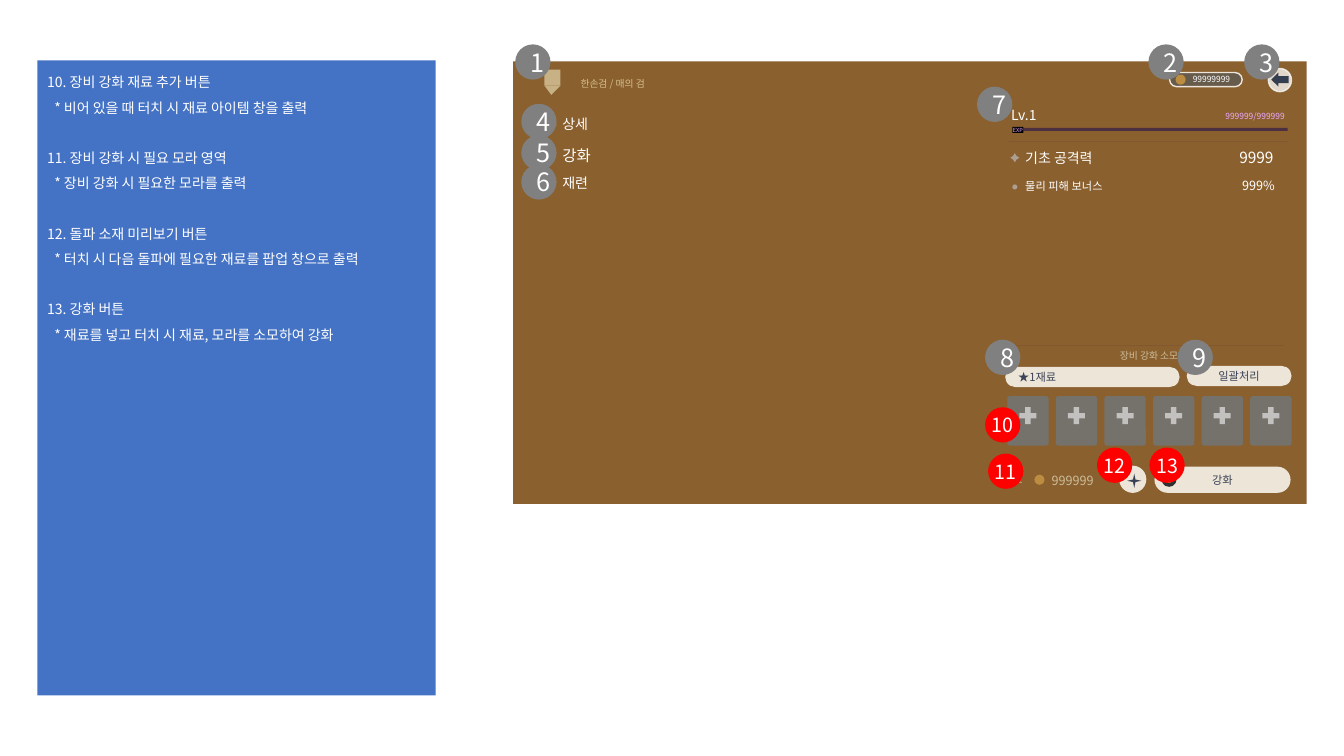
from lxml import etree
from pptx import Presentation
from pptx.dml.color import RGBColor
from pptx.enum.shapes import MSO_CONNECTOR, MSO_SHAPE
from pptx.enum.text import MSO_ANCHOR, MSO_AUTO_SIZE, PP_ALIGN
from pptx.oxml.ns import qn
from pptx.util import Inches, Pt

RECT, ROUND, OVAL = MSO_SHAPE.RECTANGLE, MSO_SHAPE.ROUNDED_RECTANGLE, MSO_SHAPE.OVAL
DIAMOND, STAR, PLUS = MSO_SHAPE.DIAMOND, MSO_SHAPE.STAR_4_POINT, MSO_SHAPE.MATH_PLUS
TRIANGLE, ARROW, DONUT = MSO_SHAPE.ISOSCELES_TRIANGLE, MSO_SHAPE.LEFT_ARROW, MSO_SHAPE.DONUT
LEFT, CENTER, RIGHT = PP_ALIGN.LEFT, PP_ALIGN.CENTER, PP_ALIGN.RIGHT
FONT = "Noto Sans CJK KR"
COLORS = {
    "white": "FFFFFF", "screen": "8A602F", "panel": "4472C4", "tan": "C7B185",
    "crumb": "D6BF8E", "diamond": "A1907C", "cream": "ECE5D8", "navy": "3B4255",
    "ink": "3C4356", "arrow": "353D51", "pink": "EEA8FF", "black": "000000",
    "exp": "4D2F42", "rule": "835830", "stat": "AC9E90", "slot": "75716B",
    "plus": "C3C1BF", "sand": "CDBD9C", "coin": "BC8D40", "dark": "313131",
    "gold": "DCB133", "wallet": "595959", "gray": "808080", "red": "FF0000",
}

# Content: description panel
NOTES = [
    ("10. 장비 강화 재료 추가 버튼", "* 비어 있을 때 터치 시 재료 아이템 창을 출력"),
    ("11. 장비 강화 시 필요 모라 영역", "* 장비 강화 시 필요한 모라를 출력"),
    ("12. 돌파 소재 미리보기 버튼", "* 터치 시 다음 돌파에 필요한 재료를 팝업 창으로 출력"),
    ("13. 강화 버튼", "* 재료를 넣고 터치 시 재료, 모라를 소모하여 강화"),
]
# Labels: text, box, size, colour, alignment, wrap
LABELS = [
    ("한손검 / 매의 검", (5.66, 0.72, 2.08, 0.22), 7, "crumb", LEFT, True),
    ("상세", (5.48, 1.1, 0.76, 0.27), 10, "white", LEFT, True),
    ("강화", (5.48, 1.4, 0.76, 0.29), 11, "white", LEFT, True),
    ("재련", (5.48, 1.68, 0.76, 0.27), 10, "white", LEFT, True),
    ("Lv.1", (9.93, 1.01, 0.61, 0.27), 10, "white", LEFT, True),
    ("999999/999999", (11.53, 1.05, 1.31, 0.2), 6, "pink", RIGHT, True),
    ("기초 공격력", (10.07, 1.43, 0.88, 0.27), 10, "white", LEFT, False),
    ("물리 피해 보너스", (10.07, 1.73, 0.97, 0.24), 8, "white", LEFT, True),
    ("9999", (12.01, 1.42, 0.72, 0.29), 11, "white", RIGHT, True),
    ("999%", (12.02, 1.72, 0.72, 0.25), 9, "white", RIGHT, True),
    ("장비 강화 소모", (11.01, 3.42, 0.79, 0.22), 7, "sand", LEFT, True),
    ("필요", (9.89, 4.66, 0.36, 0.2), 6, "sand", LEFT, True),
]
# Icons: preset, box, fill, adjustment
ICONS = [
    (RECT, (5.4, 0.69, 0.16, 0.16), "tan", None),
    (DIAMOND, (5.44, 1.2, 0.08, 0.08), "diamond", None),
    (DIAMOND, (5.44, 1.77, 0.08, 0.08), "diamond", None),
    (DIAMOND, (5.41, 1.47, 0.11, 0.11), "diamond", None),
    (OVAL, (11.1, 4.62, 0.27, 0.27), "cream", None),
    (STAR, (11.18, 4.7, 0.14, 0.14), "navy", None),
    (RECT, (10.15, 1.27, 2.62, 0.03), "exp", None),
    (STAR, (10.02, 1.52, 0.09, 0.09), "stat", 0.28),
    (OVAL, (10.04, 1.83, 0.05, 0.05), "stat", None),
    (OVAL, (10.26, 4.71, 0.1, 0.1), "coin", None),
    (OVAL, (11.52, 4.68, 0.15, 0.15), "dark", None),
    (DONUT, (11.56, 4.72, 0.07, 0.07), "gold", None),
    (ARROW, (12.61, 0.72, 0.17, 0.14), "arrow", None),
    (OVAL, (11.66, 0.74, 0.1, 0.1), "coin", None),
]
# Buttons: text, box, alignment
BUTTONS = [
    ("일괄처리", (11.77, 3.63, 1.04, 0.2), CENTER),
    ("★1재료", (9.97, 3.64, 1.73, 0.2), LEFT),
    ("강화", (11.45, 4.63, 1.35, 0.26), CENTER),
]
RULES = [(10.01, 1.4, 12.77), (9.99, 3.43, 12.74)]
SLOT_COUNT, SLOT_LEFT, SLOT_STEP = 6, 9.99, 2.41 / 5
# Numbered badges 1 to 13: left, top
BADGES = [
    (5.11, 0.44), (11.39, 0.44), (12.34, 0.44), (5.17, 1.03), (5.17, 1.34),
    (5.17, 1.63), (9.69, 0.86), (9.77, 3.37), (11.68, 3.37), (9.77, 4.04),
    (9.8, 4.5), (10.88, 4.44), (11.4, 4.44),
]
BADGE_SIZE, FIRST_RED = 0.35, 10

prs = Presentation()
prs.slide_width, prs.slide_height = Inches(13.33), Inches(7.5)
s = prs.slides.add_slide(prs.slide_layouts[6])


def rgb(name):
    return RGBColor.from_string(COLORS[name])


def set_alpha(fill_format, percent):
    for clr in fill_format._xPr.iter(qn("a:srgbClr")):
        if clr.find(qn("a:alpha")) is None:
            etree.SubElement(clr, qn("a:alpha")).set("val", str(percent * 1000))


def add_shape(kind, box, fill, adj=None):
    sp = s.shapes.add_shape(kind, *map(Inches, box))
    sp.shadow.inherit = False
    sp.fill.solid()
    sp.fill.fore_color.rgb = rgb(fill)
    sp.line.fill.background()
    if adj is not None:
        sp.adjustments[0] = adj
    return sp


def format_paragraph(p, size, color, align):
    p.alignment = align
    for r in p.runs:
        r.font.size, r.font.name = Pt(size), FONT
        r.font.color.rgb = rgb(color)
        etree.SubElement(r._r.get_or_add_rPr(), qn("a:ea")).set("typeface", FONT)


def set_text(sp, text, size, color, align, wrap=True, inset=True):
    tf = sp.text_frame
    tf.word_wrap = wrap
    if not inset:
        tf.margin_left = tf.margin_right = tf.margin_top = tf.margin_bottom = 0
    tf.text = text
    format_paragraph(tf.paragraphs[0], size, color, align)
    return tf


def add_label(text, box, size, color, align, wrap, inset=True):
    tf = set_text(s.shapes.add_textbox(*map(Inches, box)), text, size, color, align, wrap, inset)
    tf.auto_size = MSO_AUTO_SIZE.SHAPE_TO_FIT_TEXT


# Game screen, separators and translucent header controls
add_shape(RECT, (5.09, 0.61, 7.87, 4.39), "screen")
for left, top, right in RULES:
    rule = s.shapes.add_connector(
        MSO_CONNECTOR.STRAIGHT, Inches(left), Inches(top), Inches(right), Inches(top))
    rule.line.color.rgb, rule.line.width = rgb("rule"), Pt(0.5)
    etree.SubElement(rule._element.spPr, qn("a:effectLst"))
back = add_shape(OVAL, (12.58, 0.68, 0.23, 0.23), "white")
wallet = add_shape(ROUND, (11.6, 0.72, 0.72, 0.14), "wallet", 0.5)
set_alpha(back.fill, 75)
set_alpha(wallet.fill, 70)
for sp, color in ((back, "white"), (wallet, "cream")):
    sp.line.color.rgb, sp.line.width = rgb(color), Pt(1)
set_alpha(back.line.fill, 75)
set_text(wallet, "99999999", 6, "white", RIGHT)

# Buttons, icons and labels
for text, box, align in BUTTONS:
    set_text(add_shape(ROUND, box, "cream", 0.5), text, 8, "ink", align)
for icon in ICONS:
    add_shape(*icon)
add_shape(TRIANGLE, (5.4, 0.85, 0.16, 0.09), "tan", 0.58).rotation = 180
exp_tag = add_shape(RECT, (10.04, 1.26, 0.11, 0.06), "black")
set_text(exp_tag, "EXP", 4, "pink", CENTER, False, False)
for label in LABELS:
    add_label(*label)
add_label("999999", (10.43, 4.69, 0.68, 0.15), 9, "sand", LEFT, True, False)

# Material slots
for i in range(SLOT_COUNT):
    left = SLOT_LEFT + i * SLOT_STEP
    add_shape(ROUND, (left, 3.93, 0.41, 0.49), "slot", 0.06)
    add_shape(PLUS, (left + 0.09, 4.01, 0.23, 0.23), "plus")

# Description panel
panel = add_shape(RECT, (0.37, 0.6, 3.95, 6.3), "panel")
tf = panel.text_frame
tf.word_wrap, tf.vertical_anchor = True, MSO_ANCHOR.TOP
tf.text = "\n".join(line for note in NOTES for line in note)
for i, p in enumerate(tf.paragraphs):
    p.line_spacing = 1.5
    if i % 2:
        p._p.get_or_add_pPr().set("marL", str(Inches(0.07)))
    elif i:
        p.space_before = Pt(18)
    format_paragraph(p, 10, "white", LEFT)

# Numbered badges
for number, (left, top) in enumerate(BADGES, 1):
    is_red = number >= FIRST_RED
    badge = add_shape(OVAL, (left, top, BADGE_SIZE, BADGE_SIZE), "red" if is_red else "gray")
    set_text(badge, str(number), 14 if is_red else 18, "white", CENTER, inset=not is_red)

prs.save("out.pptx")
